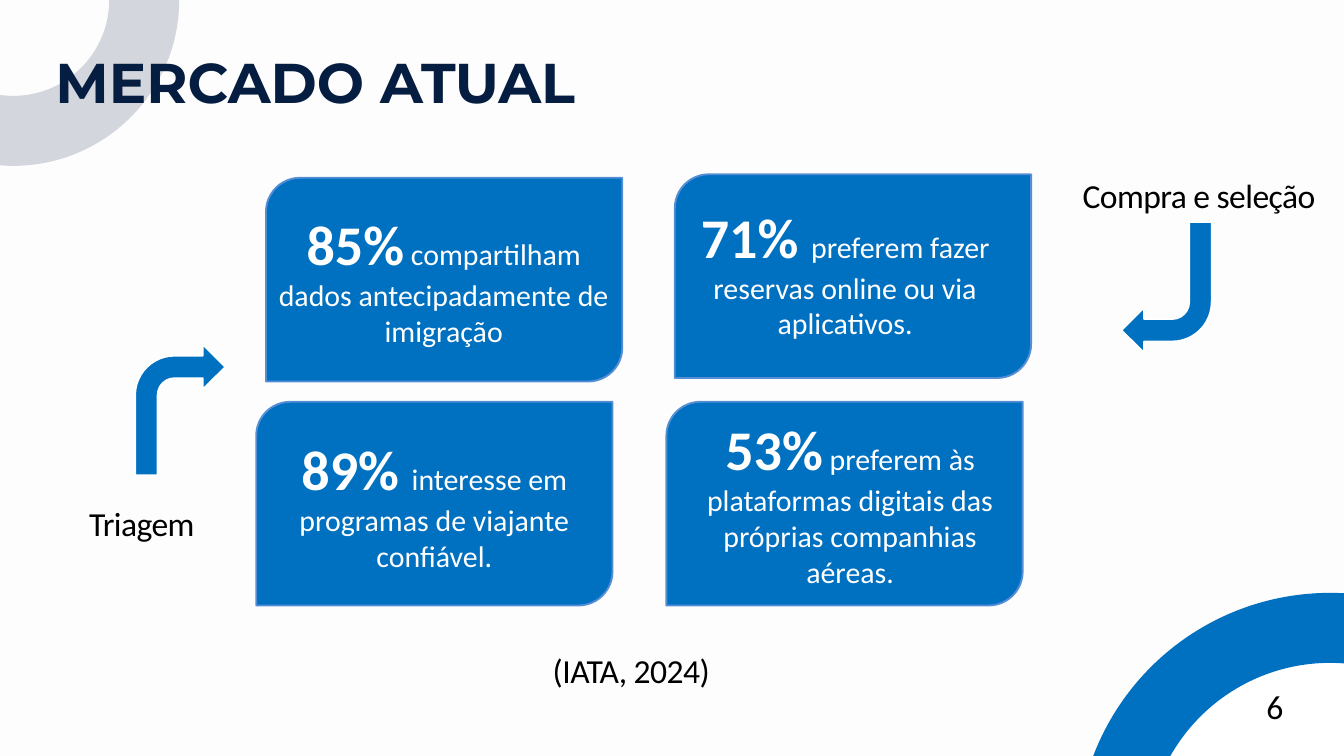
import pptx
import pptx.dml.color
import pptx.enum.shapes
import pptx.enum.text
import pptx.oxml.ns
import pptx.util
from lxml import etree

EMU_PER_PX = 9525
COLORS = {
    "background": "FDFDFD",
    "navy": "051D40",
    "blue": "0070C0",
    "outline": "558ED5",
    "white": "FFFFFF",
    "black": "000000",
}
SHAPES = pptx.enum.shapes.MSO_SHAPE
ALIGN = pptx.enum.text.PP_ALIGN
ANCHOR = pptx.enum.text.MSO_ANCHOR
CARD_SIZE = (509, 291)
ARROW_SIZE = (129, 187)

# Card corner, text box, figure, statement
CARDS = [
    ((964, 249), (976, 284, 463, 210), "71% ",
     "preferem fazer reservas online ou via aplicativos."),
    ((380, 254), (379, 294, 510, 210), "85%",
     " compartilham dados antecipadamente de imigração"),
    ((952, 574), (967, 588, 495, 262), "53%",
     " preferem às plataformas digitais das próprias companhias aéreas."),
    ((366, 574), (383, 616, 475, 210), "89% ",
     "interesse em programas de viajante confiável."),
]
LABELS = [
    ("(IATA, 2024)", (736, 929, 278, 59)),
    ("Triagem", (0, 718, 278, 59)),
    ("Compra e seleção", (1524, 250, 355, 59)),
]


def px(value):
    return pptx.util.Emu(value * EMU_PER_PX)


def rgb(name):
    return pptx.dml.color.RGBColor.from_string(COLORS[name])


def add_run(paragraph, text, *, size, color="black", font="Calibri",
            bold=False, spacing=None):
    """Add formatted text; spacing is in hundredths of a point."""
    run = paragraph.add_run()
    run.text = text
    run.font.name = font
    run.font.size = pptx.util.Pt(size)
    run.font.bold = bold
    run.font.color.rgb = rgb(color)
    if spacing is not None:
        run.font._element.set("spc", str(spacing))


def clear_margins(frame):
    frame.margin_left = frame.margin_right = 0
    frame.margin_top = frame.margin_bottom = 0


def add_text_box(slide, box, *, align, margins=True, anchor=ANCHOR.TOP):
    """Add an empty text box and return its first paragraph."""
    frame = slide.shapes.add_textbox(*map(px, box)).text_frame
    frame.word_wrap = True
    frame.vertical_anchor = anchor
    if not margins:
        clear_margins(frame)
    paragraph = frame.paragraphs[0]
    paragraph.alignment = align
    return paragraph


def add_shape(slide, preset, box, *, fill=None, line, width):
    shape = slide.shapes.add_shape(preset, *map(px, box))
    shape.shadow.inherit = False
    if fill:
        shape.fill.solid()
        shape.fill.fore_color.rgb = rgb(fill)
    else:
        shape.fill.background()
    shape.line.color.rgb = rgb(line)
    shape.line.width = pptx.util.Pt(width)
    return shape


def set_line_opacity(shape, percent):
    color = shape.line.fill._xPr.find(".//" + pptx.oxml.ns.qn("a:srgbClr"))
    alpha = etree.SubElement(color, pptx.oxml.ns.qn("a:alpha"))
    alpha.set("val", str(percent * 1000))


def add_title(slide, text):
    title = slide.shapes.title
    title.left, title.top, title.width, title.height = map(px, (79, 80, 922, 84))
    frame = title.text_frame
    frame.word_wrap = True
    frame.auto_size = pptx.enum.text.MSO_AUTO_SIZE.NONE
    frame.vertical_anchor = ANCHOR.TOP
    clear_margins(frame)
    paragraph = frame.paragraphs[0]
    paragraph.alignment = ALIGN.LEFT
    paragraph.line_spacing = pptx.util.Pt(63)
    add_run(paragraph, text, size=60, color="navy", font="Montserrat", bold=True)


def add_rings(slide):
    pale_ring = add_shape(slide, SHAPES.OVAL, (-168, -187, 374, 374),
                          line="navy", width=75)
    set_line_opacity(pale_ring, 16)
    add_shape(slide, SHAPES.OVAL, (1588, 897, 624, 624),
              fill="white", line="blue", width=75)


def add_card(slide, corner, text_box, figure, statement):
    add_shape(slide, SHAPES.ROUND_2_DIAG_RECTANGLE, corner + CARD_SIZE,
              fill="blue", line="outline", width=2)
    paragraph = add_text_box(slide, text_box, align=ALIGN.CENTER)
    add_run(paragraph, figure, size=60, color="white", bold=True)
    add_run(paragraph, statement, size=32, color="white")


def add_label(slide, text, box):
    paragraph = add_text_box(slide, box, align=ALIGN.RIGHT, margins=False)
    add_run(paragraph, text, size=36, spacing=-60)


def add_page_number(slide, number):
    paragraph = add_text_box(slide, (1619, 989, 224, 38),
                             align=ALIGN.RIGHT, anchor=ANCHOR.MIDDLE)
    add_run(paragraph, number, size=36)


def add_bent_arrow(slide, corner, rotation=0):
    arrow = add_shape(slide, SHAPES.BENT_ARROW, corner + ARROW_SIZE,
                      fill="blue", line="white", width=2)
    arrow.rotation = rotation


def main():
    presentation = pptx.Presentation()
    presentation.slide_width = px(1920)
    presentation.slide_height = px(1080)
    slide = presentation.slides.add_slide(presentation.slide_layouts[5])
    slide.background.fill.solid()
    slide.background.fill.fore_color.rgb = rgb("background")

    add_title(slide, "MERCADO ATUAL")
    add_rings(slide)
    add_page_number(slide, "6")
    for card in CARDS:
        add_card(slide, *card)
    for text, box in LABELS:
        add_label(slide, text, box)
    add_bent_arrow(slide, (1602, 317), rotation=180)
    add_bent_arrow(slide, (193, 492))

    presentation.save("out.pptx")


if __name__ == "__main__":
    main()
